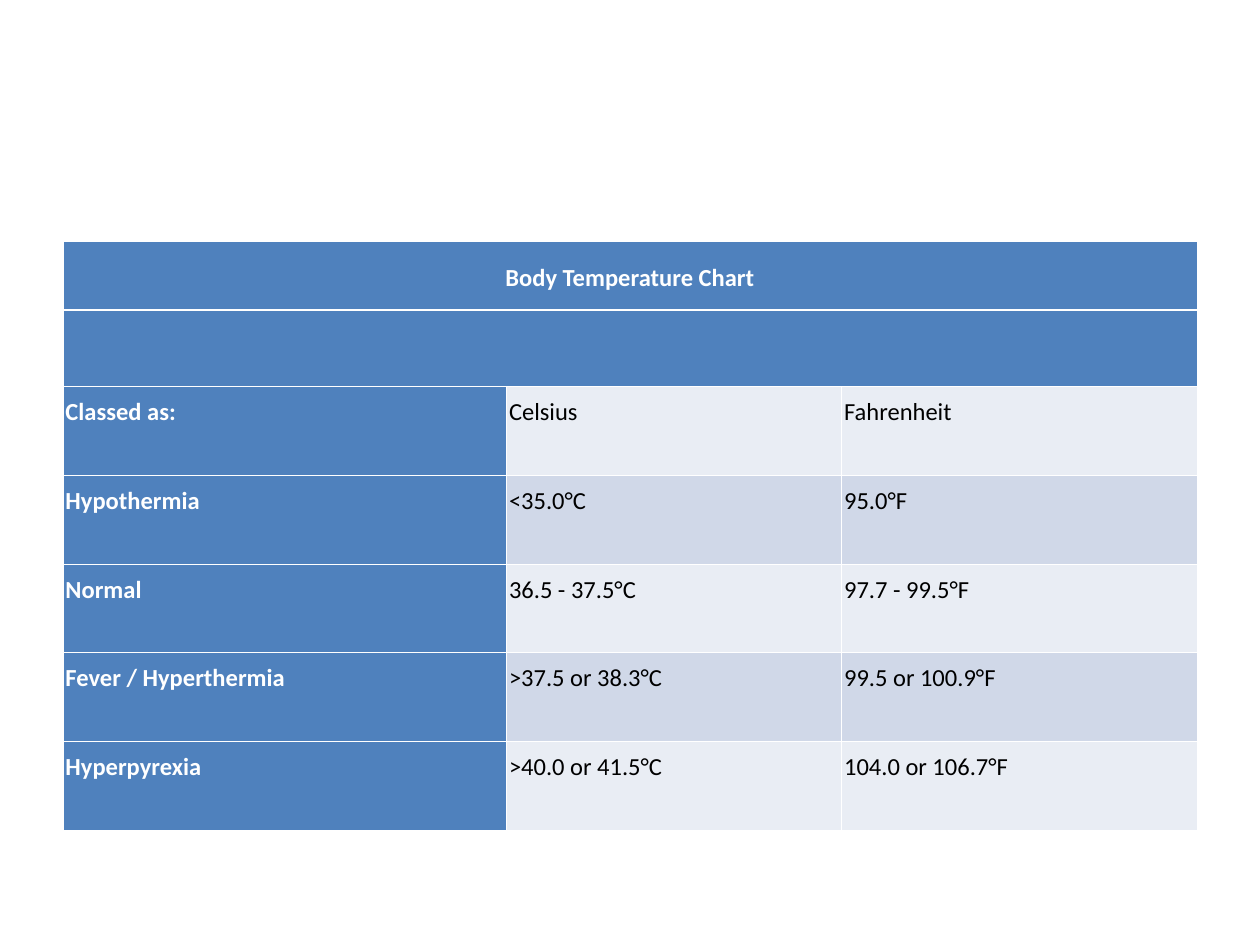
from lxml.etree import SubElement
from pptx import Presentation
from pptx.dml.color import RGBColor
from pptx.enum.text import MSO_ANCHOR as Anchor, PP_ALIGN as Align
from pptx.oxml.ns import qn
from pptx.util import Pt

WHITE, BLACK, BLUE = "FFFFFF", "000000", "4F81BD"
BANDS = ["E9EDF4", "D0D8E8"]
COLUMN_WIDTHS = [253.5, 191.5, 203]
ROW_HEIGHTS = [38.8, 44] + [50.7] * 5
HEADER_ROWS = 2
READINGS = [
    ["Classed as:", "Celsius", "Fahrenheit"],
    ["Hypothermia", "<35.0°C", "95.0°F"],
    ["Normal", "36.5 - 37.5°C", "97.7 - 99.5°F"],
    ["Fever / Hyperthermia", ">37.5 or 38.3°C", "99.5 or 100.9°F"],
    ["Hyperpyrexia", ">40.0 or 41.5°C", "104.0 or 106.7°F"],
]


def style_cell(cell, fill, top=0.45, bottom=0.45):
    """Give a cell white borders, with the top and bottom widths in points, and a fill."""
    properties = cell._tc.get_or_add_tcPr()
    for side, width in [("L", 0.45), ("R", 0.45), ("T", top), ("B", bottom)]:
        line = SubElement(properties, qn(f"a:ln{side}"), w=str(Pt(width)))
        SubElement(SubElement(line, qn("a:solidFill")), qn("a:srgbClr"), val=WHITE)
    cell.fill.solid()
    cell.fill.fore_color.rgb = RGBColor.from_string(fill)


def write_cell(cell, text, color=BLACK, bold=False, align=Align.LEFT,
               anchor=Anchor.TOP, side_margin=1.4):
    cell.margin_left = cell.margin_right = Pt(side_margin)
    cell.margin_top = cell.margin_bottom = Pt(3.6)
    cell.vertical_anchor = anchor
    paragraph = cell.text_frame.paragraphs[0]
    paragraph.alignment = align
    paragraph.line_spacing = 1.15
    run = paragraph.add_run()
    run.text = text
    run.font.name = "Calibri"
    run.font.size = Pt(14)
    run.font.bold = bold
    run.font.color.rgb = RGBColor.from_string(color)


presentation = Presentation()
presentation.slide_width, presentation.slide_height = Pt(720), Pt(540)
slide = presentation.slides.add_slide(presentation.slide_layouts[6])

table = slide.shapes.add_table(
    len(ROW_HEIGHTS), len(COLUMN_WIDTHS), Pt(36), Pt(138.2),
    Pt(sum(COLUMN_WIDTHS)), Pt(sum(ROW_HEIGHTS))).table
for column, width in zip(table.columns, COLUMN_WIDTHS):
    column.width = Pt(width)
for row, height in zip(table.rows, ROW_HEIGHTS):
    row.height = Pt(height)

# Two full-width header rows, parted by a thicker line
for row_index in range(HEADER_ROWS):
    table.cell(row_index, 0).merge(table.cell(row_index, 2))
    edge = {"bottom": 1.47} if row_index == 0 else {"top": 1.47}
    for cell in table.rows[row_index].cells:
        style_cell(cell, BLUE, **edge)
write_cell(table.cell(0, 0), "Body Temperature Chart", color=WHITE, bold=True,
           align=Align.CENTER, anchor=Anchor.MIDDLE, side_margin=7.2)

# Blue first column, banded readings beside it
for row_index, texts in enumerate(READINGS):
    for column_index, text in enumerate(texts):
        cell = table.cell(row_index + HEADER_ROWS, column_index)
        is_label = column_index == 0
        style_cell(cell, BLUE if is_label else BANDS[row_index % 2])
        write_cell(cell, text, color=WHITE if is_label else BLACK, bold=is_label)

presentation.save("out.pptx")
